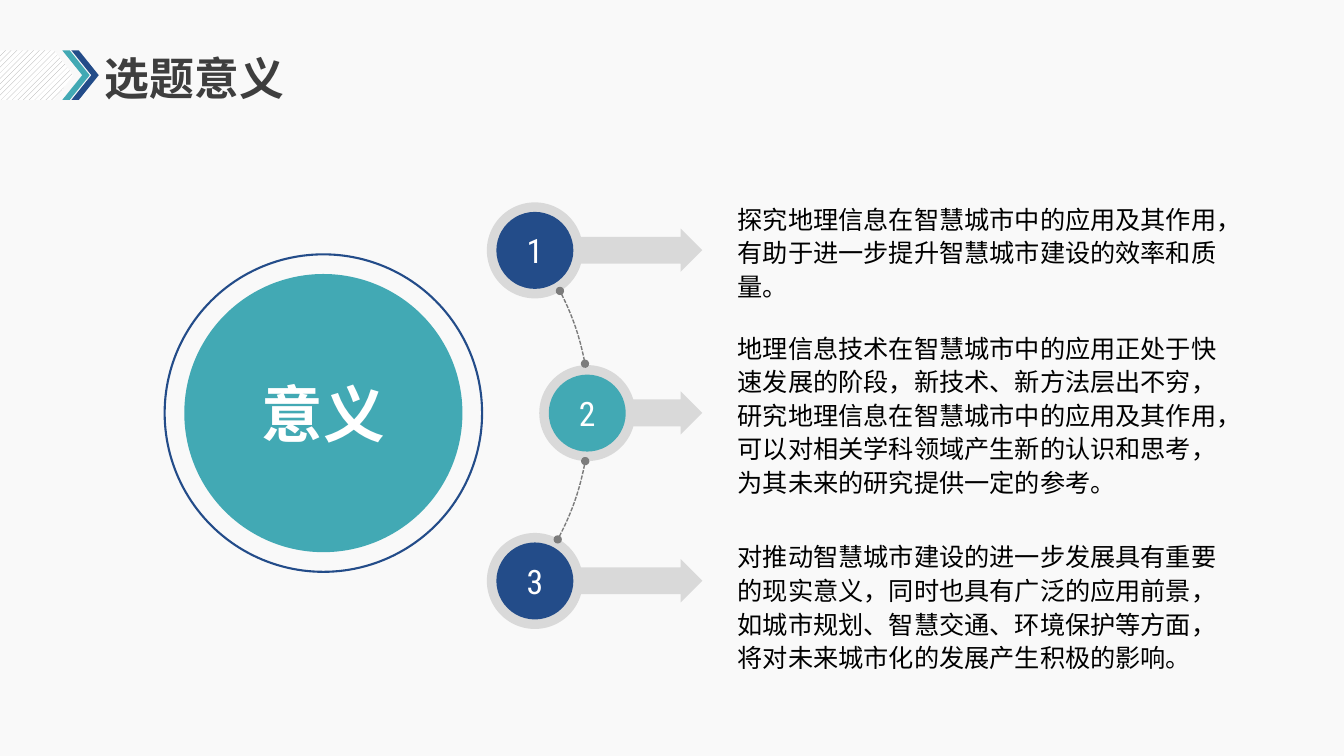
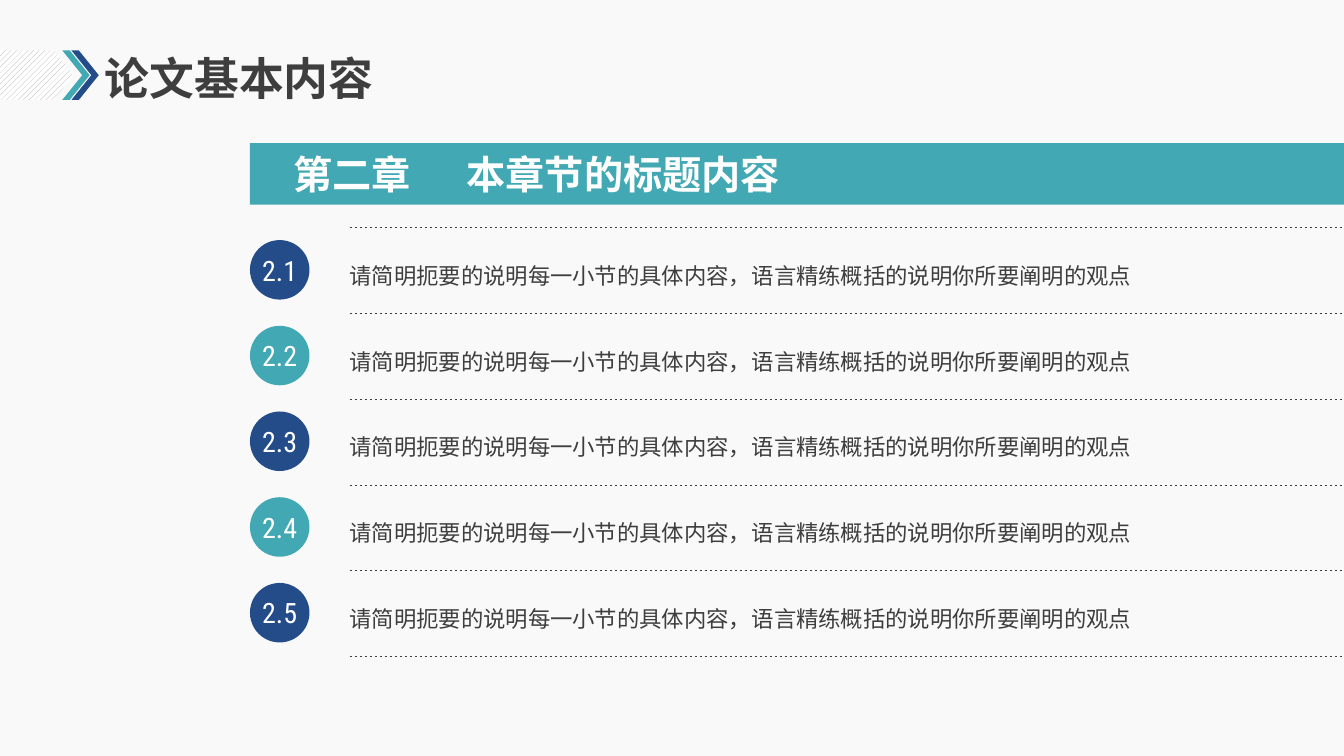
from lxml import etree
from pptx import Presentation
from pptx.dml.color import RGBColor
from pptx.enum.dml import MSO_LINE, MSO_PATTERN
from pptx.enum.lang import MSO_LANGUAGE_ID
from pptx.enum.shapes import MSO_CONNECTOR, MSO_SHAPE
from pptx.enum.text import MSO_ANCHOR, PP_ALIGN
from pptx.oxml.ns import qn
from pptx.util import Cm, Pt

OVAL, RECT, ARC = MSO_SHAPE.OVAL, MSO_SHAPE.RECTANGLE, MSO_SHAPE.ARC
PENTAGON, CHEVRON, ARROW = MSO_SHAPE.PENTAGON, MSO_SHAPE.CHEVRON, MSO_SHAPE.RIGHT_ARROW
STRAIGHT = MSO_CONNECTOR.STRAIGHT
DASH, SYS_DASH = MSO_LINE.DASH, MSO_LINE.SQUARE_DOT
HATCH = MSO_PATTERN.WIDE_UPWARD_DIAGONAL
LEFT, CENTER = PP_ALIGN.LEFT, PP_ALIGN.CENTER
TOP, MIDDLE = MSO_ANCHOR.TOP, MSO_ANCHOR.MIDDLE
CHINESE = MSO_LANGUAGE_ID.SIMPLIFIED_CHINESE

TEAL, NAVY, GREY, DARK = "42A9B4", "234C89", "D9D9D9", "3E3E3E"
PAPER, WHITE, BLACK = "F9F9F9", "FFFFFF", "000000"
HATCH_GREY, ARC_GREY = "A6A6A6", "7C7C7C"
CJK, NUMERAL, BODY, TITLE = "Noto Sans CJK SC", "Roboto Condensed", "Calibri", "Karla"
WIDTH, HEIGHT = 33.87, 19.05

MEANING_TITLE = "选题意义"
HUB = "意义"
HUB_X, HUB_Y = 8.15, 10.41
MEANINGS = [
    {"node": (13.48, 6.31), "color": NAVY, "top": 4.93, "height": 2.77,
     "text": "探究地理信息在智慧城市中的应用及其作用，有助于进一步提升智慧城市建设的效率和质量。"},
    {"node": (14.8, 10.41), "color": TEAL, "top": 8.18, "height": 4.5,
     "text": "地理信息技术在智慧城市中的应用正处于快速发展的阶段，新技术、新方法层出不穷，"
             "研究地理信息在智慧城市中的应用及其作用，可以对相关学科领域产生新的认识和思考，"
             "为其未来的研究提供一定的参考。"},
    {"node": (13.48, 14.64), "color": NAVY, "top": 13.44, "height": 3.63,
     "text": "对推动智慧城市建设的进一步发展具有重要的现实意义，同时也具有广泛的应用前景，"
             "如城市规划、智慧交通、环境保护等方面，将对未来城市化的发展产生积极的影响。"},
]
ARC_ANGLES = [(332.7, 349.32), (10.39, 28.32)]

CONTENT_TITLE = "论文基本内容"
CHAPTER, CHAPTER_TITLE = "第二章", "本章节的标题内容"
SECTION_TEXT = [("请简明扼要的说明每一小节的具体内容，", CJK),
                ("语言精练概括的说明你所要阐明的观点", BODY)]
SECTIONS = [(f"2.{i}", SECTION_TEXT) for i in range(1, 6)]
ROW_TOP, ROW_STEP = 5.74, 2.16


def rgb(color):
    return RGBColor.from_string(color)


def write(sp, parts, size, color, bold=False, align=LEFT, anchor=TOP, spacing=None, left=0.25, pad=0.25):
    tf = sp.text_frame
    tf.word_wrap = True
    tf.vertical_anchor = anchor
    tf.margin_left, tf.margin_right = Cm(left), Cm(pad)
    tf.margin_top = tf.margin_bottom = Cm(pad / 2)
    p = tf.paragraphs[0]
    p.alignment = align
    p.line_spacing = spacing
    for text, font in parts:
        r = p.add_run()
        r.text = text
        r.font.size = Pt(size)
        r.font.bold = bold
        r.font.color.rgb = rgb(color)
        r.font.name = font
        r.font.language_id = CHINESE
        etree.SubElement(r.font._element, qn("a:ea"), typeface=CJK)


def add_text(s, box, parts, size, color, **style):
    write(s.shapes.add_textbox(*map(Cm, box)), parts, size, color, **style)


def add_shape(s, kind, box, fill=None, adjust=()):
    sp = s.shapes.add_shape(kind, *map(Cm, box))
    sp.shadow.inherit = False
    sp.line.fill.background()
    if fill:
        sp.fill.solid()
        sp.fill.fore_color.rgb = rgb(fill)
    else:
        sp.fill.background()
    for i, value in enumerate(adjust):
        sp.adjustments[i] = value
    return sp


def add_circle(s, x, y, size, fill=None):
    return add_shape(s, OVAL, (x - size / 2, y - size / 2, size, size), fill)


def style_line(line, color, width, dash=None):
    line.color.rgb = rgb(color)
    line.width = Pt(width)
    if dash:
        line.dash_style = dash


def add_slide(prs, title):
    s = prs.slides.add_slide(prs.slide_layouts[6])
    s.background.fill.solid()
    s.background.fill.fore_color.rgb = rgb(PAPER)
    hatch = add_shape(s, PENTAGON, (0, 1.27, 1.85, 1.25), adjust=[0.39])
    hatch.fill.patterned()
    hatch.fill.pattern = HATCH
    hatch.fill.fore_color.rgb = rgb(HATCH_GREY)
    hatch.fill.back_color.rgb = rgb(WHITE)
    for x, color in [(1.57, TEAL), (1.8, NAVY)]:
        add_shape(s, CHEVRON, (x, 1.27, 0.69, 1.25), color, [0.73])
    add_text(s, (2.39, 1.4, 12.55, 1.27), [(title, TITLE)], 32, DARK,
             bold=True, anchor=MIDDLE, spacing=0.9)
    return s


def meaning_slide(prs):
    s = add_slide(prs, MEANING_TITLE)
    hub = add_circle(s, HUB_X, HUB_Y, 7.01, TEAL)
    write(hub, [(HUB, CJK)], 44, WHITE, bold=True, align=CENTER, anchor=MIDDLE, left=0, pad=0)
    style_line(add_circle(s, HUB_X, HUB_Y, 8).line, NAVY, 1.5)

    for number, item in enumerate(MEANINGS, 1):
        x, y = item["node"]
        add_shape(s, ARROW, (x, y - 0.55, 17.7 - x, 1.09), GREY, [0.62, 0.5])
        add_circle(s, x, y, 2.42, GREY)
        disc = add_circle(s, x, y, 1.94, item["color"])
        write(disc, [(str(number), NUMERAL)], 24, WHITE, align=CENTER, anchor=MIDDLE)
        add_text(s, (18.34, item["top"], 12.7, item["height"]), [(item["text"], BODY)],
                 18, BLACK, spacing=Pt(24))

    radius = 6.71
    for angles in ARC_ANGLES:
        arc = add_shape(s, ARC, (HUB_X - radius, HUB_Y - radius, 2 * radius, 2 * radius),
                        adjust=[angle * 0.6 for angle in angles])
        style_line(arc.line, ARC_GREY, 1, SYS_DASH)
        ln = arc.line._get_or_add_ln()
        for end in ("a:headEnd", "a:tailEnd"):
            etree.SubElement(ln, qn(end), type="oval")


def content_slide(prs):
    s = add_slide(prs, CONTENT_TITLE)
    band = add_shape(s, RECT, (6.3, 3.61, WIDTH - 6.3, 1.55), TEAL)
    write(band, [(CHAPTER, CJK)], 28, WHITE, bold=True, anchor=MIDDLE, left=1.09, pad=0)
    add_text(s, (11.35, 3.61, 10.77, 1.55), [(CHAPTER_TITLE, CJK)], 28, WHITE,
             bold=True, anchor=MIDDLE, left=0.41, pad=0)

    for i in range(len(SECTIONS) + 1):
        y = Cm(ROW_TOP + i * ROW_STEP)
        rule = s.shapes.add_connector(STRAIGHT, Cm(8.81), y, Cm(33.83), y)
        style_line(rule.line, DARK, 0.5, DASH)
        etree.SubElement(rule._element.spPr, qn("a:effectLst"))

    for i, (number, parts) in enumerate(SECTIONS):
        y = ROW_TOP + i * ROW_STEP
        disc = add_circle(s, 7.05, y + 1.06, 1.5, (NAVY, TEAL)[i % 2])
        write(disc, [(number, NUMERAL)], 20, WHITE, align=CENTER, anchor=MIDDLE, left=0, pad=0)
        add_text(s, (8.56, y + 0.64, 20.73, 0.99), parts, 16, DARK, spacing=Pt(22))


def main():
    prs = Presentation()
    prs.slide_width, prs.slide_height = Cm(WIDTH), Cm(HEIGHT)
    meaning_slide(prs)
    content_slide(prs)
    prs.save("out.pptx")


if __name__ == "__main__":
    main()
